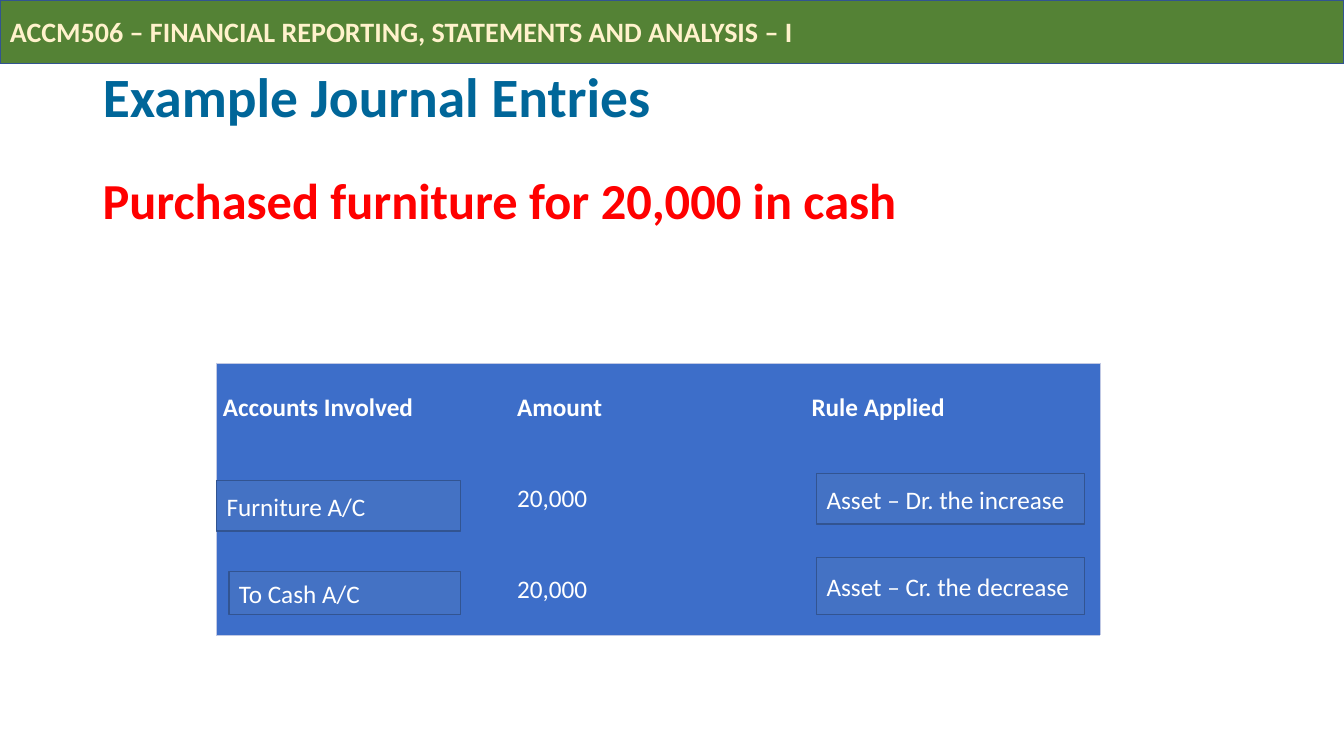
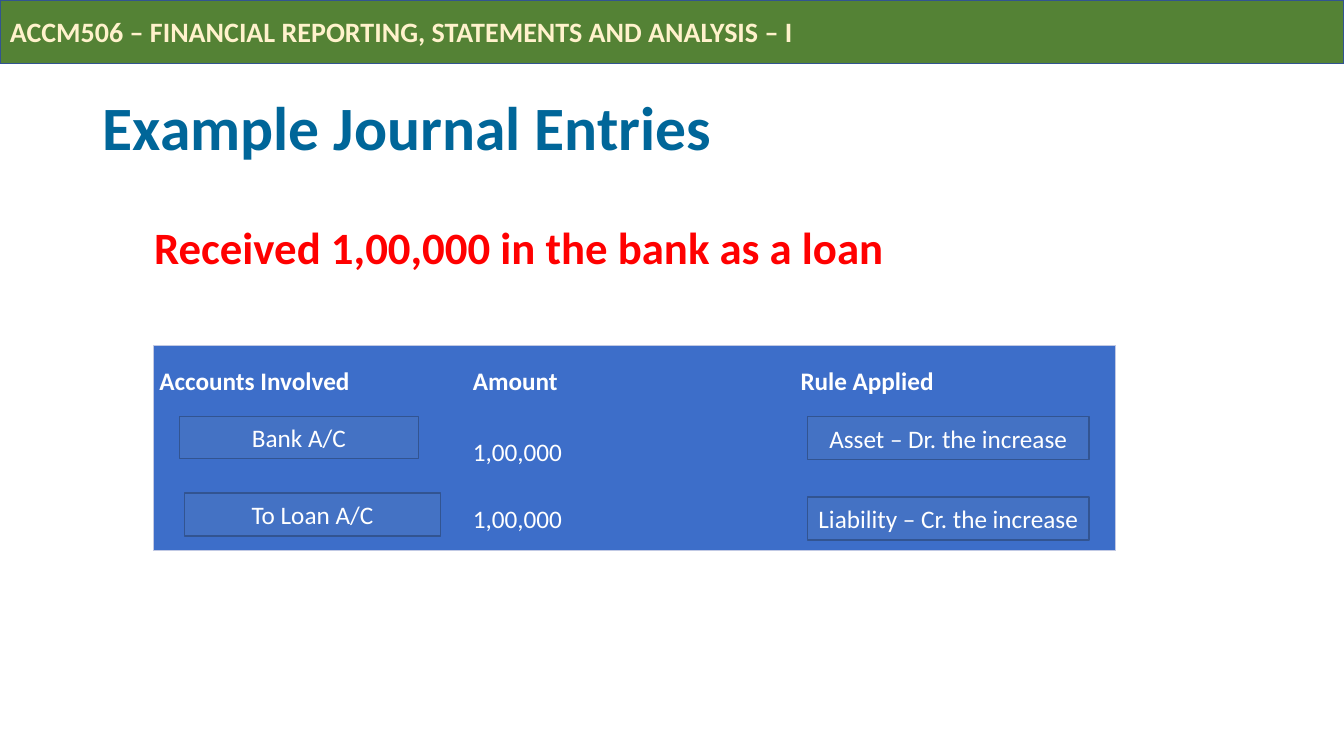
from dataclasses import dataclass

from lxml.etree import SubElement
from pptx import Presentation
from pptx.dml.color import RGBColor
from pptx.enum.shapes import MSO_SHAPE
from pptx.enum.text import MSO_ANCHOR, PP_ALIGN
from pptx.oxml.ns import qn
from pptx.util import Inches, Pt

GREEN = RGBColor(0x54, 0x82, 0x35)
CREAM = RGBColor(0xFF, 0xF2, 0xCC)
TITLE_BLUE = RGBColor(0x00, 0x66, 0x99)
RED = RGBColor(0xFF, 0x00, 0x00)
WHITE = RGBColor(0xFF, 0xFF, 0xFF)
TABLE_BLUE = RGBColor(0x3D, 0x6E, 0xC9)
LABEL_BLUE = RGBColor(0x44, 0x72, 0xC4)
OUTLINE_BLUE = RGBColor(0x32, 0x54, 0x91)
TABLE_EDGE = RGBColor(0xC1, 0xC9, 0xE4)

FONT = "Calibri"
SLIDE_WIDTH, SLIDE_HEIGHT = 13.33, 7.5
TITLE_ONLY = 5
COURSE = "ACCM506 – FINANCIAL REPORTING, STATEMENTS AND ANALYSIS – I"
TITLE = "Example Journal Entries"
HEADINGS = ("Accounts Involved", "Amount", "Rule Applied")


@dataclass
class JournalEntry:
    """Boxes are (left, top, width, height) in inches; label boxes count from the table corner."""
    title_box: tuple
    title_size: float
    transaction: str
    transaction_box: tuple
    transaction_size: float
    amount: str
    table_corner: tuple
    columns: tuple
    rows: tuple
    labels: tuple
    label_alignment: PP_ALIGN


ENTRIES = (
    JournalEntry(
        title_box=(0.92, 0.64, 11.5, 0.7), title_size=39.6,
        transaction="Purchased furniture for 20,000 in cash",
        transaction_box=(0.92, 1.63, 9.85, 0.71), transaction_size=36,
        amount="20,000",
        table_corner=(2.15, 3.6), columns=(2.92, 2.92, 2.92), rows=(0.9, 0.9, 0.9),
        labels=(
            ("Furniture A/C", (0, 1.17, 2.42, 0.5)),
            ("To Cash A/C", (0.12, 2.07, 2.3, 0.43)),
            ("Asset – Dr. the increase", (5.95, 1.1, 2.66, 0.5)),
            ("Asset – Cr. the decrease", (5.95, 1.93, 2.66, 0.57)),
        ),
        label_alignment=PP_ALIGN.LEFT,
    ),
    JournalEntry(
        title_box=(0.92, 0.74, 11.5, 1.1), title_size=44,
        transaction="Received 1,00,000 in the bank as a loan",
        transaction_box=(1.43, 2.13, 9.12, 0.64), transaction_size=32,
        amount="1,00,000",
        table_corner=(1.52, 3.43), columns=(3.11, 3.25, 3.18), rows=(0.71, 0.71, 0.61),
        labels=(
            ("Bank A/C", (0.26, 0.7, 2.37, 0.42)),
            ("To Loan A/C", (0.31, 1.46, 2.54, 0.43)),
            ("Asset – Dr. the increase", (6.49, 0.7, 2.79, 0.43)),
            ("Liability – Cr. the increase", (6.49, 1.5, 2.79, 0.43)),
        ),
        label_alignment=PP_ALIGN.CENTER,
    ),
)


def inches(box):
    return [Inches(value) for value in box]


def write(text_frame, text, size, color, bold=False, alignment=PP_ALIGN.LEFT):
    text_frame.text = text
    text_frame.word_wrap = True
    paragraph = text_frame.paragraphs[0]
    paragraph.alignment = alignment
    font = paragraph.font
    font.name, font.size, font.bold = FONT, Pt(size), bold
    font.color.rgb = color
    return paragraph


def add_rectangle(slide, box, fill):
    shape = slide.shapes.add_shape(MSO_SHAPE.RECTANGLE, *inches(box))
    shape.shadow.inherit = False
    shape.fill.solid()
    shape.fill.fore_color.rgb = fill
    shape.line.color.rgb = OUTLINE_BLUE
    shape.line.width = Pt(1)
    shape.text_frame.vertical_anchor = MSO_ANCHOR.MIDDLE
    return shape


def move_band_to_layout(slide):
    """Draw the course band, then hand it to the layout so that every slide shows it."""
    band = add_rectangle(slide, (0, 0, SLIDE_WIDTH, 0.63), GREEN)
    write(band.text_frame, COURSE, 20, CREAM, bold=True)
    slide.slide_layout.shapes.element.insert(2, band.element)


def format_title(title, box, size):
    title.left, title.top, title.width, title.height = inches(box)
    title.text_frame.vertical_anchor = MSO_ANCHOR.MIDDLE
    paragraph = write(title.text_frame, TITLE, size, TITLE_BLUE, bold=True)
    paragraph.line_spacing = 0.9


def add_transaction(slide, text, box, size):
    text_box = slide.shapes.add_textbox(*inches(box))
    write(text_box.text_frame, text, size, RED, bold=True)


def set_borders(cell, outer_sides):
    """Draw the sides on the table's rim and clear the inner ones."""
    properties = cell._tc.get_or_add_tcPr()
    for side, is_outer in zip("LRTB", outer_sides):
        line = SubElement(properties, qn(f"a:ln{side}"), w=str(Pt(0.5)))
        if is_outer:
            fill = SubElement(line, qn("a:solidFill"))
            SubElement(fill, qn("a:srgbClr"), val=str(TABLE_EDGE))
        else:
            SubElement(line, qn("a:noFill"))


def add_entry_table(slide, entry):
    rows, columns = len(entry.rows), len(entry.columns)
    box = (*entry.table_corner, sum(entry.columns), sum(entry.rows))
    table = slide.shapes.add_table(rows, columns, *inches(box)).table
    table.first_row = table.horz_banding = False
    for column, width in zip(table.columns, entry.columns):
        column.width = Inches(width)
    for row, height in zip(table.rows, entry.rows):
        row.height = Inches(height)

    amount_row = ("", entry.amount, "")
    for i, texts in enumerate((HEADINGS, amount_row, amount_row)):
        for j, text in enumerate(texts):
            cell = table.cell(i, j)
            set_borders(cell, (j == 0, j == columns - 1, i == 0, i == rows - 1))
            cell.fill.solid()
            cell.fill.fore_color.rgb = TABLE_BLUE
            cell.vertical_anchor = MSO_ANCHOR.MIDDLE
            cell.margin_left = cell.margin_right = Inches(0.06)
            cell.margin_top = cell.margin_bottom = Inches(0.01)
            write(cell.text_frame, text, 18, WHITE, bold=i == 0)


def add_labels(slide, entry):
    table_left, table_top = entry.table_corner
    for text, (left, top, width, height) in entry.labels:
        box = (table_left + left, table_top + top, width, height)
        label = add_rectangle(slide, box, LABEL_BLUE)
        write(label.text_frame, text, 18, WHITE, alignment=entry.label_alignment)


def add_entry_slide(presentation, entry):
    slide = presentation.slides.add_slide(presentation.slide_layouts[TITLE_ONLY])
    format_title(slide.shapes.title, entry.title_box, entry.title_size)
    add_entry_table(slide, entry)
    add_labels(slide, entry)
    add_transaction(slide, entry.transaction, entry.transaction_box, entry.transaction_size)
    return slide


def main():
    presentation = Presentation()
    presentation.slide_width = Inches(SLIDE_WIDTH)
    presentation.slide_height = Inches(SLIDE_HEIGHT)
    slides = [add_entry_slide(presentation, entry) for entry in ENTRIES]
    move_band_to_layout(slides[0])
    presentation.save("out.pptx")


if __name__ == "__main__":
    main()
